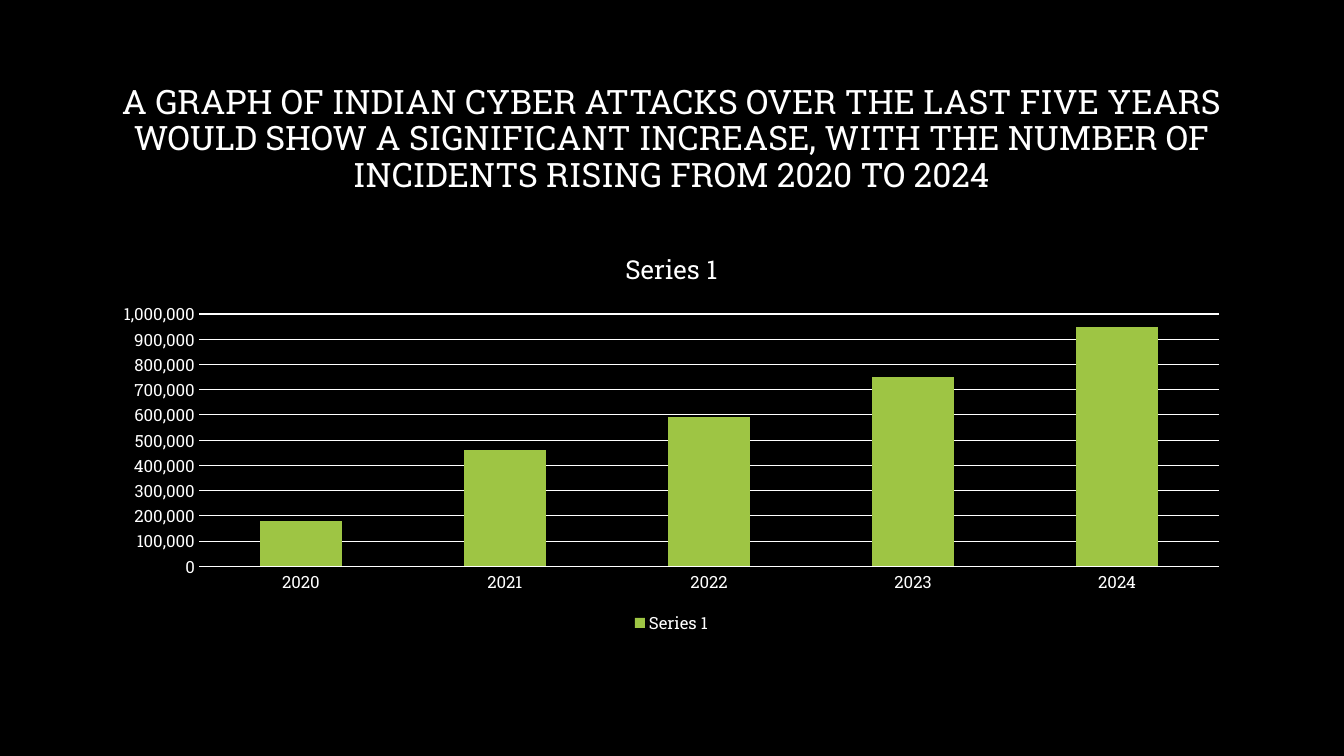
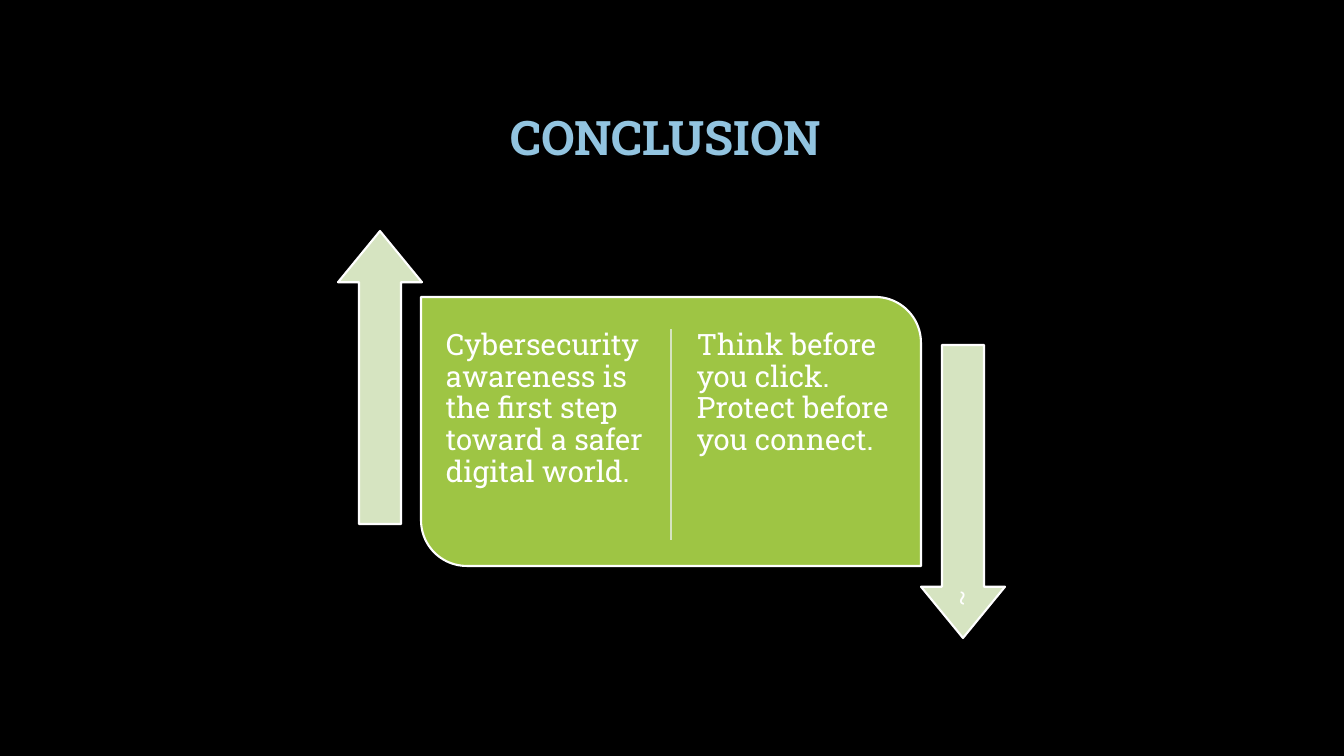
from dataclasses import dataclass

from lxml.etree import SubElement
from pptx import Presentation
from pptx.chart.data import CategoryChartData
from pptx.dml.color import RGBColor
from pptx.enum.chart import XL_CHART_TYPE, XL_LEGEND_POSITION, XL_TICK_MARK
from pptx.enum.shapes import MSO_CONNECTOR, MSO_SHAPE
from pptx.enum.text import MSO_ANCHOR, MSO_AUTO_SIZE, PP_ALIGN
from pptx.oxml.ns import qn
from pptx.presentation import Presentation as Deck
from pptx.slide import Slide
from pptx.util import Pt

SLIDE_WIDTH, SLIDE_HEIGHT = 1344, 756
EMU_PER_PX = 12192000 / SLIDE_WIDTH
FONT = "Roboto Slab"
BLACK, WHITE = "000000", "FFFFFF"
GREEN, PALE_GREEN, SKY = "9EC544", "D6E4C1", "92C4E0"


@dataclass(frozen=True)
class Box:
    left: int
    top: int
    width: int
    height: int

    def emu(self) -> tuple[int, ...]:
        return tuple(px(v) for v in (self.left, self.top, self.width, self.height))


@dataclass(frozen=True)
class Outlined:
    preset: MSO_SHAPE
    box: Box
    fill: str
    adjustments: tuple[float, float]


@dataclass(frozen=True)
class Message:
    text: str
    box: Box
    size: int = 21
    inset: int = 9
    align: PP_ALIGN = PP_ALIGN.LEFT
    anchor: MSO_ANCHOR = MSO_ANCHOR.TOP
    rotation: int = 0


TITLE_BOX = Box(101, 67, 1141, 146)
CHART_BOX = Box(101, 231, 1141, 407)
PANEL_BOX = Box(421, 297, 500, 269)
ARROW_WIDTH, ARROW_HEIGHT = 84, 293
ARROW_ADJUSTMENTS = (0.5, 0.61)
DIVIDER_X = PANEL_BOX.left + PANEL_BOX.width // 2
MESSAGE_WIDTH, MESSAGE_GAP = 217, 17

ATTACKS = {
    "2020": 180000,
    "2021": 460000,
    "2022": 590000,
    "2023": 750000,
    "2024": 950000,
}

CONCLUSION_SHAPES = (
    Outlined(MSO_SHAPE.ROUND_2_DIAG_RECTANGLE, PANEL_BOX, GREEN, (0, 0.17)),
    Outlined(
        MSO_SHAPE.UP_ARROW,
        Box(PANEL_BOX.left - ARROW_WIDTH + 1, 231, ARROW_WIDTH, ARROW_HEIGHT),
        PALE_GREEN,
        ARROW_ADJUSTMENTS,
    ),
    Outlined(
        MSO_SHAPE.DOWN_ARROW,
        Box(PANEL_BOX.left + PANEL_BOX.width, 345, ARROW_WIDTH, ARROW_HEIGHT),
        PALE_GREEN,
        ARROW_ADJUSTMENTS,
    ),
)

CONCLUSION_MESSAGES = (
    Message(
        "Cybersecurity awareness is the first step toward a safer digital world.",
        Box(DIVIDER_X - MESSAGE_GAP - MESSAGE_WIDTH, 321, MESSAGE_WIDTH, 228),
    ),
    Message(
        "Think before you click. Protect before you connect.",
        Box(DIVIDER_X + MESSAGE_GAP, 321, MESSAGE_WIDTH, 228),
    ),
    Message(
        "~",
        Box(829, 459, 268, 41),
        size=17,
        inset=7,
        align=PP_ALIGN.RIGHT,
        anchor=MSO_ANCHOR.MIDDLE,
        rotation=90,
    ),
)


def px(length: int) -> int:
    return round(length * EMU_PER_PX)


def rgb(color: str) -> RGBColor:
    return RGBColor.from_string(color)


def style_font(font, size: float, color: str = WHITE, bold: bool = False) -> None:
    font.name = FONT
    font.size = Pt(size)
    font.bold = bold
    font.color.rgb = rgb(color)


def style_line(line, color: str, width: float) -> None:
    line.color.rgb = rgb(color)
    line.width = Pt(width)


def add_titled_slide(
    deck: Deck, text: str, size: int, color: str = WHITE, bold: bool = False
) -> Slide:
    slide = deck.slides.add_slide(deck.slide_layouts[5])
    title = slide.shapes.title
    title.left, title.top, title.width, title.height = TITLE_BOX.emu()
    frame = title.text_frame
    frame.text = text
    frame.auto_size = MSO_AUTO_SIZE.NONE
    frame.vertical_anchor = MSO_ANCHOR.MIDDLE
    paragraph = frame.paragraphs[0]
    paragraph.alignment = PP_ALIGN.CENTER
    paragraph.line_spacing = 0.9
    style_font(paragraph.font, size, color, bold)
    return slide


def add_attacks_chart(slide: Slide) -> None:
    data = CategoryChartData()
    data.categories = list(ATTACKS)
    data.add_series("Series 1", list(ATTACKS.values()))
    chart = slide.shapes.add_chart(
        XL_CHART_TYPE.COLUMN_CLUSTERED, *CHART_BOX.emu(), data
    ).chart
    style_font(chart.font, 10)

    chart.has_title = True
    heading = chart.chart_title.text_frame
    heading.text = "Series 1"
    style_font(heading.paragraphs[0].font, 18.6)

    chart.has_legend = True
    chart.legend.position = XL_LEGEND_POSITION.BOTTOM
    chart.legend.include_in_layout = False
    style_font(chart.legend.font, 12)

    plot = chart.plots[0]
    plot.gap_width = 150
    plot.vary_by_categories = False
    columns = plot.series[0].format.fill
    columns.solid()
    columns.fore_color.rgb = rgb(GREEN)

    for axis in (chart.category_axis, chart.value_axis):
        axis.major_tick_mark = axis.minor_tick_mark = XL_TICK_MARK.NONE
        axis.format.line.fill.background()
        style_font(axis.tick_labels.font, 12)

    counts = chart.value_axis
    counts.minimum_scale = 0
    counts.maximum_scale = 1000000
    counts.major_unit = 100000
    counts.tick_labels.number_format = "#,##0"
    counts.tick_labels.number_format_is_linked = False
    counts.has_major_gridlines = True
    style_line(counts.major_gridlines.format.line, WHITE, 0.75)


def add_outlined(slide: Slide, item: Outlined) -> None:
    shape = slide.shapes.add_shape(item.preset, *item.box.emu())
    shape.shadow.inherit = False
    shape.fill.solid()
    shape.fill.fore_color.rgb = rgb(item.fill)
    style_line(shape.line, WHITE, 1.5)
    for index, value in enumerate(item.adjustments):
        shape.adjustments[index] = value


def add_divider(slide: Slide, x: int, top: int, bottom: int) -> None:
    divider = slide.shapes.add_connector(
        MSO_CONNECTOR.STRAIGHT, px(x), px(top), px(x), px(bottom)
    )
    style_line(divider.line, PALE_GREEN, 1.5)
    SubElement(divider._element.spPr, qn("a:effectLst"))


def add_message(slide: Slide, message: Message) -> None:
    box = slide.shapes.add_textbox(*message.box.emu())
    box.rotation = message.rotation
    frame = box.text_frame
    frame.word_wrap = True
    frame.vertical_anchor = message.anchor
    frame.margin_left = frame.margin_right = px(message.inset)
    frame.margin_top = frame.margin_bottom = px(message.inset)
    frame.text = message.text
    paragraph = frame.paragraphs[0]
    paragraph.alignment = message.align
    paragraph.line_spacing = 0.9
    style_font(paragraph.font, message.size)


def build_attacks(deck: Deck) -> None:
    slide = add_titled_slide(
        deck,
        "A GRAPH OF INDIAN CYBER ATTACKS OVER THE LAST FIVE YEARS WOULD SHOW "
        "A SIGNIFICANT INCREASE, WITH THE NUMBER OF INCIDENTS RISING FROM "
        "2020 TO 2024",
        24,
    )
    add_attacks_chart(slide)


def build_conclusion(deck: Deck) -> None:
    slide = add_titled_slide(deck, "CONCLUSION ", 34, SKY, bold=True)
    for item in CONCLUSION_SHAPES:
        add_outlined(slide, item)
    add_divider(slide, DIVIDER_X, 329, 540)
    for message in CONCLUSION_MESSAGES:
        add_message(slide, message)


def main() -> None:
    deck = Presentation()
    deck.slide_width, deck.slide_height = px(SLIDE_WIDTH), px(SLIDE_HEIGHT)
    backdrop = deck.slide_master.background.fill
    backdrop.solid()
    backdrop.fore_color.rgb = rgb(BLACK)
    build_attacks(deck)
    build_conclusion(deck)
    deck.save("out.pptx")


if __name__ == "__main__":
    main()
